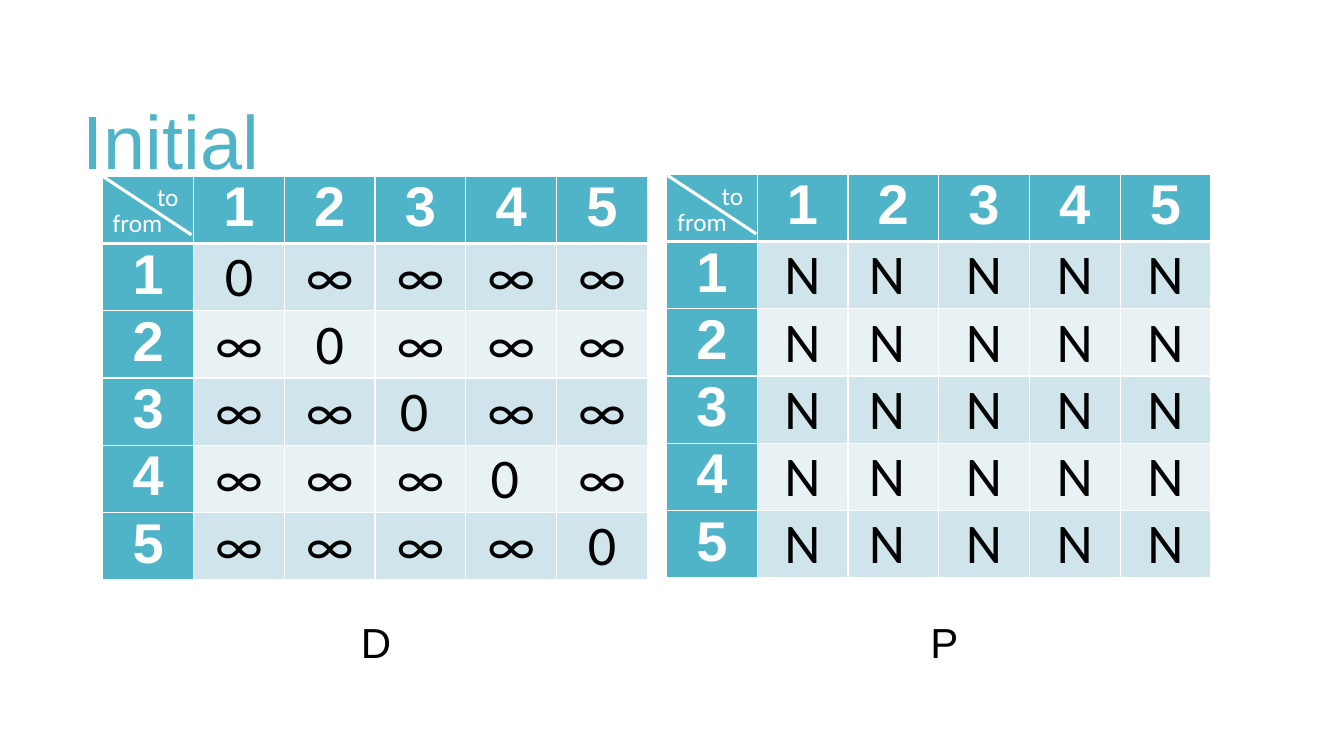
import dataclasses

import pptx
import pptx.dml.color
import pptx.enum.text
import pptx.oxml
import pptx.oxml.ns
import pptx.shapes.autoshape
import pptx.slide
import pptx.table
import pptx.text.text
import pptx.util

TEAL, WHITE, BLACK = "50B4C8", "FFFFFF", "000000"
BANDS = ("CFE5EB", "E8F2F5")
COUNT = 5
WIDTH = 90
ROWS = (61, 58, 61, 61, 58, 61)

# Formats for text runs
HEAD = {"name": "Arial", "size": pptx.util.Pt(40), "bold": True}
BODY = {"name": "Calibri", "size": pptx.util.Pt(40), "bold": False}
SMALL = {"name": "Calibri", "size": pptx.util.Pt(18)}
TITLE = {"name": "Arial", "size": pptx.util.Pt(54)}
LABEL = {"name": "Arial", "size": pptx.util.Pt(30)}


@dataclasses.dataclass
class Board:
    left: int
    top: int
    corner: tuple[int, int]
    grid: list[list[str]]


@dataclasses.dataclass
class Note:
    text: str
    box: tuple[int, int, int, int]
    style: dict
    tint: str


def px(count: int) -> pptx.util.Emu:
    """One px is a hundredth of an inch."""
    return pptx.util.Emu(count * 9144)


def hue(code: str) -> pptx.dml.color.RGBColor:
    return pptx.dml.color.RGBColor.from_string(code)


def write(para: pptx.text.text._Paragraph, text: str, style: dict, tint: str) -> None:
    run = para.add_run()
    run.text = text
    for key, value in style.items():
        setattr(run.font, key, value)
    run.font.color.rgb = hue(tint)


def border(cell: pptx.table._Cell, row: int) -> None:
    props = cell._tc.get_or_add_tcPr()
    thick = {(0, "B"), (1, "T")}
    for side in "LRTB":
        width = pptx.util.Pt(3 if (row, side) in thick else 1)
        props.append(pptx.oxml.parse_xml(
            f'<a:ln{side} {pptx.oxml.ns.nsdecls("a")} w="{width}"><a:solidFill>'
            f'<a:srgbClr val="{WHITE}"/></a:solidFill></a:ln{side}>'))


def paint(cell: pptx.table._Cell, row: int, col: int, text: str) -> None:
    border(cell, row)
    head = row == 0 or col == 0
    cell.fill.solid()
    cell.fill.fore_color.rgb = hue(TEAL if head else BANDS[(row - 1) % 2])
    edges = {"margin_left": px(7), "margin_right": px(7),
             "margin_top": 0, "margin_bottom": 0}
    for key, value in edges.items():
        setattr(cell, key, value)
    if text:
        para = cell.text_frame.paragraphs[0]
        para.alignment = pptx.enum.text.PP_ALIGN.CENTER
        write(para, text, HEAD if head else BODY, WHITE if head else BLACK)


def draw_note(slide: pptx.slide.Slide, note: Note) -> pptx.shapes.autoshape.Shape:
    shape = slide.shapes.add_textbox(*map(px, note.box))
    shape.text_frame.word_wrap = True
    write(shape.text_frame.paragraphs[0], note.text, note.style, note.tint)
    return shape


def draw_board(slide: pptx.slide.Slide, board: Board) -> None:
    size = COUNT + 1
    frame = slide.shapes.add_table(
        size, size, px(board.left), px(board.top), px(WIDTH * size), px(sum(ROWS)))
    table = frame.table
    for col in table.columns:
        col.width = px(WIDTH)
    for row, height in zip(table.rows, ROWS):
        row.height = px(height)

    # Headings run along the first row and column
    names = [str(num) for num in range(1, size)]
    lines = [["", *names]] + [[name, *line] for name, line in zip(names, board.grid)]
    for row, line in enumerate(lines):
        for col, text in enumerate(line):
            paint(table.cell(row, col), row, col, text)

    # Split corner cell
    left, top = board.corner
    slash = slide.shapes.add_connector(
        pptx.enum.shapes.MSO_CONNECTOR.STRAIGHT,
        px(left), px(top), px(left + 88), px(top + 58))
    slash.line.color.rgb = hue(WHITE)
    slash.line.width = pptx.util.Pt(2.25)
    slash._element.spPr.append(
        pptx.oxml.parse_xml(f'<a:effectLst {pptx.oxml.ns.nsdecls("a")}/>'))
    draw_note(slide, Note("to", (left + 44, top, 50, 40), SMALL, WHITE))
    draw_note(slide, Note("from", (left, top + 26, 76, 40), SMALL, WHITE))


def main() -> None:
    deck = pptx.Presentation()
    deck.slide_width, deck.slide_height = px(1333), px(750)
    slide = deck.slides.add_slide(deck.slide_layouts[6])

    # Title
    title = draw_note(slide, Note("Initial", (72, 55, 1178, 181), TITLE, TEAL))
    title.text_frame.vertical_anchor = pptx.enum.text.MSO_ANCHOR.MIDDLE
    title.text_frame.paragraphs[0].line_spacing = 0.85

    # Distance and parent tables
    zeros = ["0", "0", "0 ", "0 ", "0"]
    costs = [[zeros[row] if row == col else "∞" for col in range(COUNT)]
             for row in range(COUNT)]
    links = [["N", "N ", "N", "N", "N"] for _ in range(COUNT)]
    for board in (Board(102, 175, (102, 175), costs),
                  Board(661, 173, (662, 174), links)):
        draw_board(slide, board)

    # Table names
    for text, left in (("D", 348), ("P", 913)):
        draw_note(slide, Note(text, (left, 607, 82, 61), LABEL, BLACK))

    deck.save("out.pptx")


if __name__ == "__main__":
    import pptx.enum.shapes
    main()
